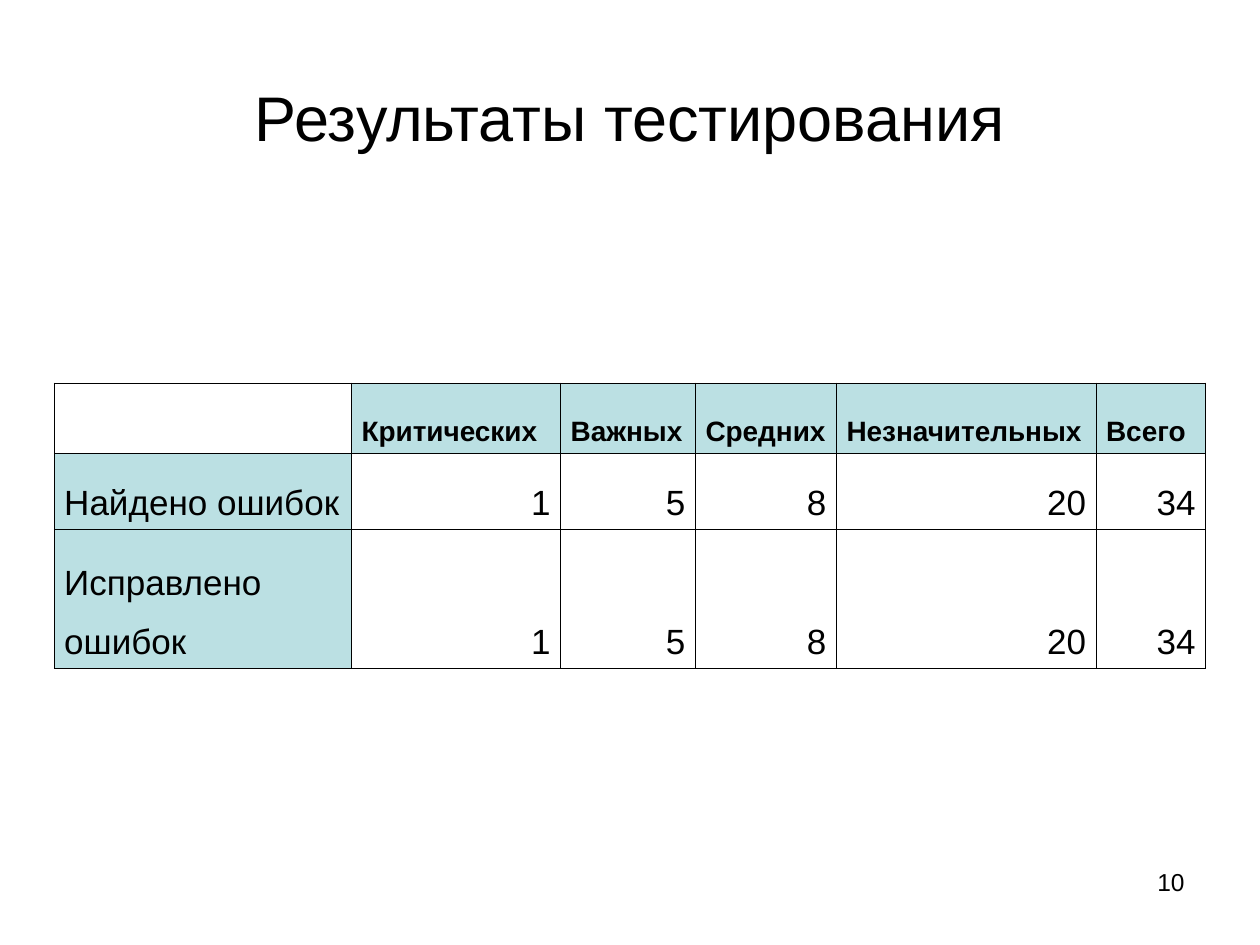
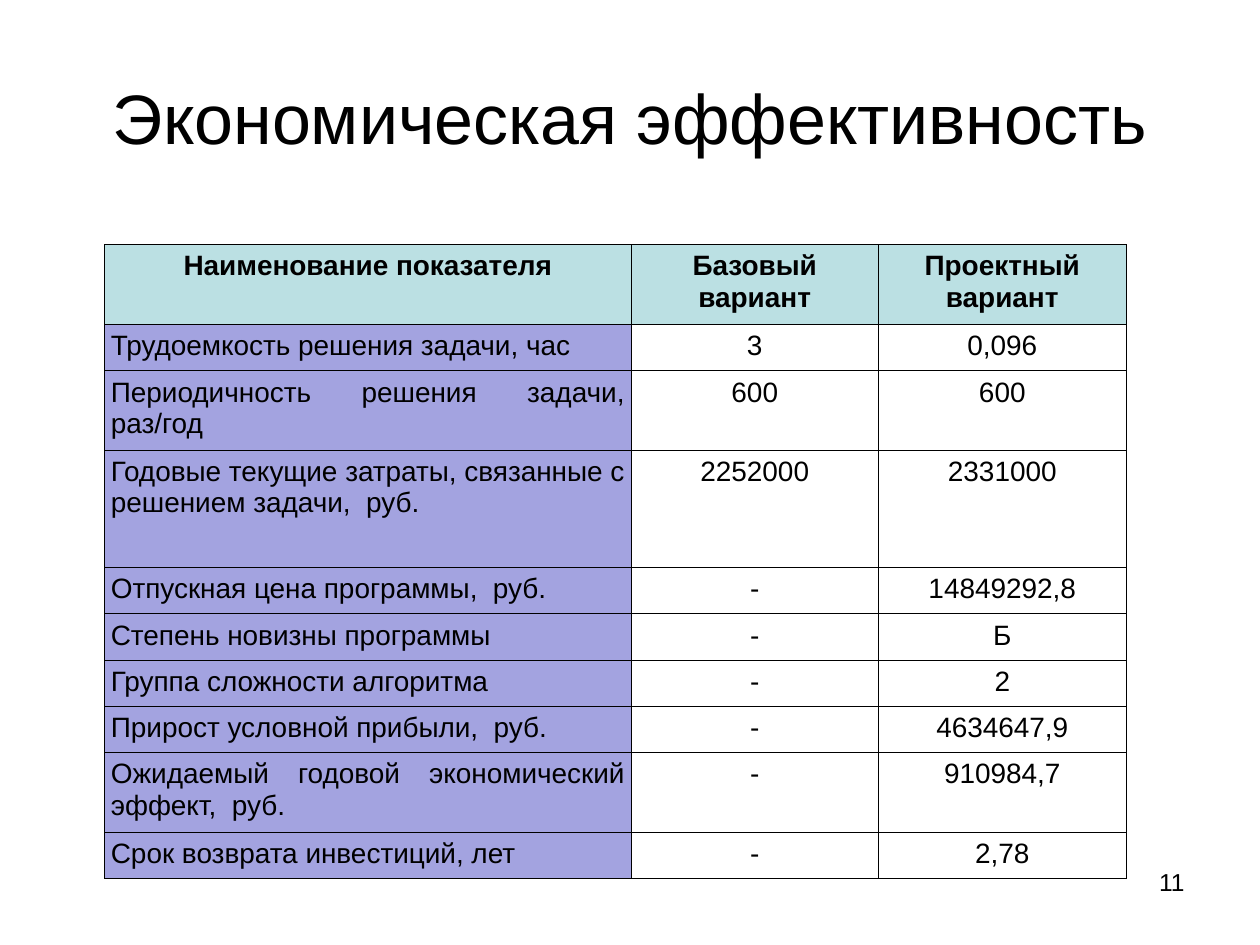
from dataclasses import dataclass

from lxml import etree
from pptx import Presentation
from pptx.dml.color import RGBColor
from pptx.enum.text import MSO_ANCHOR, PP_ALIGN
from pptx.oxml.ns import qn
from pptx.util import Inches, Pt

LEFT, MID, RIGHT, FULL = PP_ALIGN.LEFT, PP_ALIGN.CENTER, PP_ALIGN.RIGHT, PP_ALIGN.JUSTIFY
TOP, CENTER, BOTTOM = MSO_ANCHOR.TOP, MSO_ANCHOR.MIDDLE, MSO_ANCHOR.BOTTOM
BLANK = 6


@dataclass(frozen=True)
class Theme:
    font: str = "Arial"
    ink: str = "000000"
    aqua: str = "BBE0E3"
    lilac: str = "A3A3E0"
    rule: float = 0.45
    page: int = 14
    head: int = 16
    large: int = 20


THEME = Theme()


@dataclass(frozen=True)
class Look:
    side: str
    size: int
    label: PP_ALIGN
    head: PP_ALIGN
    value: PP_ALIGN
    anchor: MSO_ANCHOR
    pad: float
    space: float


TESTS = Look(THEME.aqua, THEME.large, FULL, FULL, RIGHT, BOTTOM, 0.08, 1.5)
COSTS = Look(THEME.lilac, THEME.head, FULL, MID, MID, TOP, 0.05, 1.0)


def write(frame, text, size, align, bold=False, space=1.0):
    para = frame.paragraphs[0]
    para.alignment = align
    para.line_spacing = space
    run = para.add_run()
    run.text = text
    run.font.name = THEME.font
    run.font.size = Pt(size)
    run.font.bold = bold
    run.font.color.rgb = RGBColor.from_string(THEME.ink)


def add_text(slide, box, text, size, align, anchor):
    frame = slide.shapes.add_textbox(*map(Inches, box)).text_frame
    frame.word_wrap = True
    frame.vertical_anchor = anchor
    write(frame, text, size, align)


def add_rules(cell):
    props = cell._tc.get_or_add_tcPr()
    for edge in ("a:lnL", "a:lnR", "a:lnT", "a:lnB"):
        line = etree.SubElement(props, qn(edge), w=str(int(Pt(THEME.rule))))
        fill = etree.SubElement(line, qn("a:solidFill"))
        etree.SubElement(fill, qn("a:srgbClr"), val=THEME.ink)


def style_cell(cell, text, look, row, col):
    add_rules(cell)
    cell.margin_left = cell.margin_right = Inches(look.pad)
    cell.margin_top = cell.margin_bottom = Inches(0.05)
    cell.vertical_anchor = look.anchor
    if text and (row == 0 or col == 0):
        cell.fill.solid()
        cell.fill.fore_color.rgb = RGBColor.from_string(THEME.aqua if row == 0 else look.side)
    else:
        cell.fill.background()
    if not text:
        return
    if row == 0:
        write(cell.text_frame, text, THEME.head, look.head, True, look.space)
    else:
        align = look.label if col == 0 else look.value
        write(cell.text_frame, text, look.size, align, space=look.space)


def add_grid(slide, left, top, widths, heights, data, look):
    box = map(Inches, (left, top, sum(widths), sum(heights)))
    table = slide.shapes.add_table(len(heights), len(widths), *box).table
    table.first_row = table.horz_banding = False
    for col, width in zip(table.columns, widths):
        col.width = Inches(width)
    for row, height in zip(table.rows, heights):
        row.height = Inches(height)
    for row, texts in enumerate(data):
        for col, text in enumerate(texts):
            style_cell(table.cell(row, col), text, look, row, col)


def add_page(deck, title, size, number):
    slide = deck.slides.add_slide(deck.slide_layouts[BLANK])
    add_text(slide, (7.17, 6.83, 2.33, 0.52), number, THEME.page, RIGHT, TOP)
    add_text(slide, (0.5, 0.3, 9, 1.25), title, size, MID, CENTER)
    return slide


def add_tests(deck):
    slide = add_page(deck, "Результаты тестирования", 36, "10")
    counts = ["1", "5", "8", "20", "34"]
    data = [
        ["", "Критических", "Важных", "Средних", "Незначительных", "Всего"],
        ["Найдено ошибок", *counts],
        ["Исправлено ошибок", *counts],
    ]
    widths = [2.36, 1.66, 1.07, 1.12, 2.06, 0.87]
    add_grid(slide, 0.43, 3.04, widths, [0.56, 0.56, 1.03], data, TESTS)


def add_costs(deck):
    slide = add_page(deck, "Экономическая эффективность", 40, "11")
    data = [
        ["Наименование показателя", "Базовый вариант", "Проектный вариант"],
        ["Трудоемкость решения задачи, час", "3", "0,096"],
        ["Периодичность решения задачи, раз/год", "600", "600"],
        ["Годовые текущие затраты, связанные с решением задачи,  руб.", "2252000", "2331000"],
        ["Отпускная цена программы,  руб.", "-", "14849292,8"],
        ["Степень новизны программы", "-", "Б"],
        ["Группа сложности алгоритма", "-", "2"],
        ["Прирост условной прибыли,  руб.", "-", "4634647,9"],
        ["Ожидаемый годовой экономический эффект,  руб.", "-", "910984,7"],
        ["Срок возврата инвестиций, лет", "-", "2,78"],
    ]
    one, two = 0.34, 0.59
    heights = [two, one, two, 0.93, one, one, one, one, two, one]
    add_grid(slide, 0.83, 1.94, [4.18, 1.96, 1.97], heights, data, COSTS)


def main():
    deck = Presentation()
    deck.slide_width, deck.slide_height = Inches(10), Inches(7.5)
    add_tests(deck)
    add_costs(deck)
    deck.save("out.pptx")


if __name__ == "__main__":
    main()
